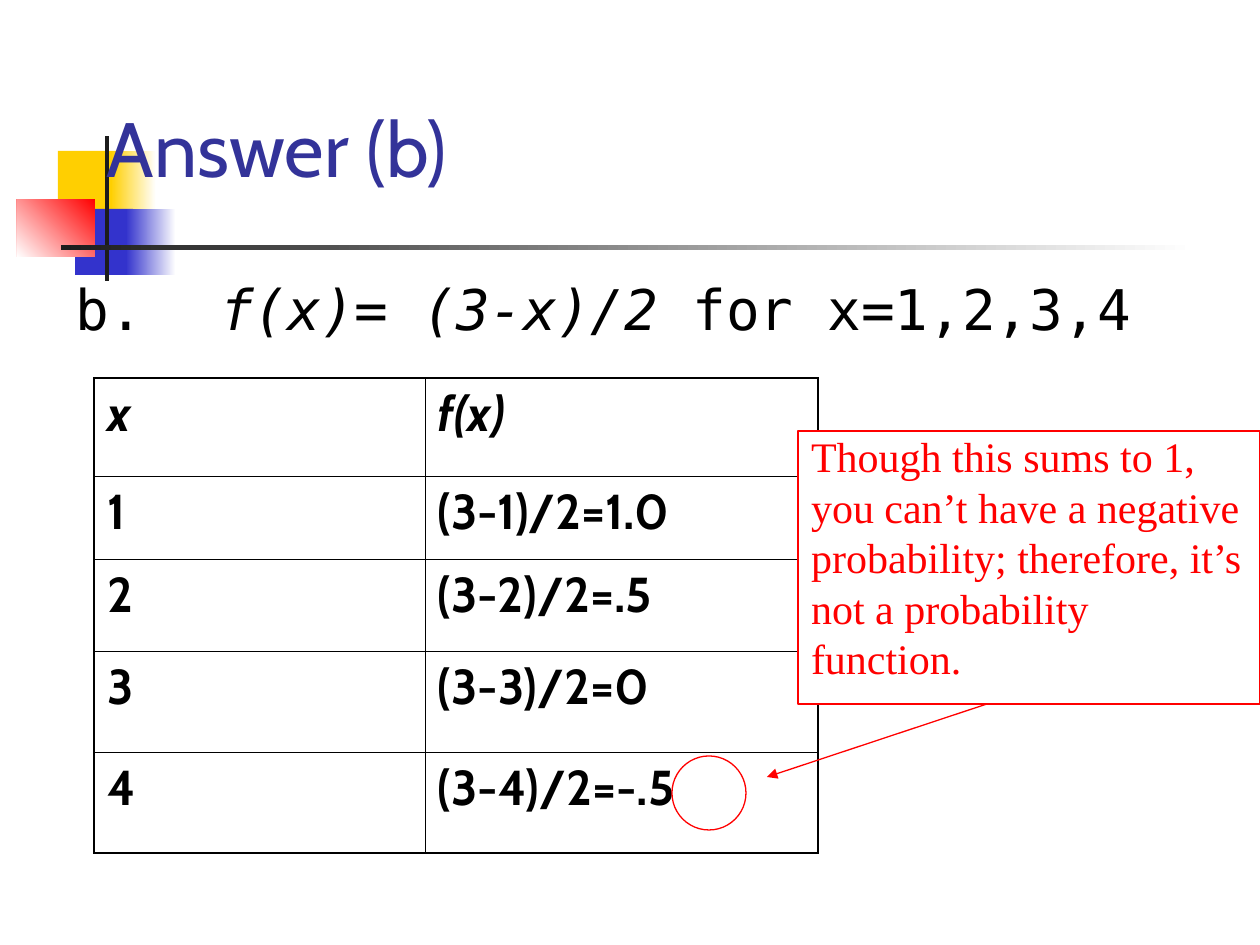
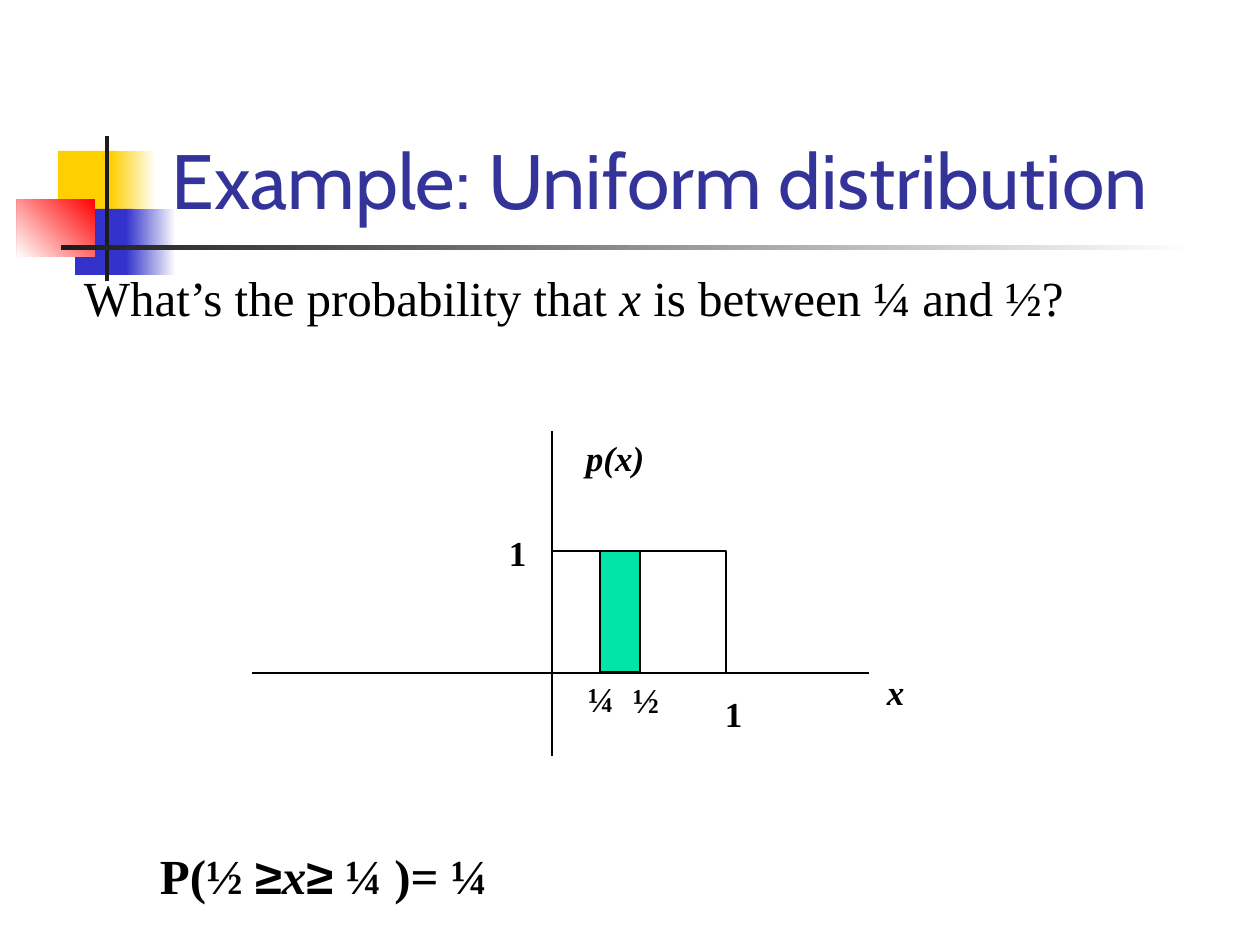
from lxml import etree
from pptx import Presentation
from pptx.dml.color import RGBColor
from pptx.enum.shapes import MSO_CONNECTOR, MSO_SHAPE
from pptx.enum.text import MSO_ANCHOR, PP_ALIGN
from pptx.oxml.ns import qn
from pptx.util import Pt

RECT, OVAL, STRAIGHT = MSO_SHAPE.RECTANGLE, MSO_SHAPE.OVAL, MSO_CONNECTOR.STRAIGHT
TOP, BOTTOM, LEFT = MSO_ANCHOR.TOP, MSO_ANCHOR.BOTTOM, PP_ALIGN.LEFT

EMU_PER_PX = 914400 / 126
SLIDE_W, SLIDE_H = 1260, 945

WHITE, BLACK, CHARCOAL = "FFFFFF", "000000", "1C1C1C"
YELLOW, BLUE, RED, GREEN = "FFCF01", "3333CC", "FF0000", "00E4A8"
TITLE_COLOR = "333399"
HEADING, SERIF, MONO, SYMBOL = "Cabin", "Times New Roman", "DejaVu Sans Mono", "Arial"

INSETS = (13, 6, 13, 6)
NO_INSETS = (0, 0, 0, 0)
HAIRLINE = 0.75
INNER_BORDER, OUTER_BORDER = 0.45, 1.08


def px(length):
    return round(length * EMU_PER_PX)


def emu(lengths):
    return [px(length) for length in lengths]


def rgb(color):
    return RGBColor.from_string(color)


def set_insets(target, insets):
    target.margin_left, target.margin_top, target.margin_right, target.margin_bottom = emu(insets)


def write(paragraph, runs, size, font, color=BLACK, bold=False):
    """Add runs given as (text, italic) or (text, italic, font)."""
    paragraph.alignment = LEFT
    for text, italic, *other_font in runs:
        run = paragraph.add_run()
        run.text = text
        run.font.size = Pt(size)
        run.font.name = other_font[0] if other_font else font
        run.font.bold, run.font.italic = bold, italic
        run.font.color.rgb = rgb(color)


def add_text(slide, box, runs, size, font, color=BLACK, bold=False, insets=INSETS, anchor=TOP):
    frame = slide.shapes.add_textbox(*emu(box)).text_frame
    frame.word_wrap = True
    frame.vertical_anchor = anchor
    set_insets(frame, insets)
    write(frame.paragraphs[0], runs, size, font, color, bold)
    return frame


def add_outline(slide, box, preset=RECT, fill=None, line=None):
    shape = slide.shapes.add_shape(preset, *emu(box))
    shape.shadow.inherit = False
    if fill:
        shape.fill.solid()
        shape.fill.fore_color.rgb = rgb(fill)
    else:
        shape.fill.background()
    if line:
        shape.line.color.rgb = rgb(line)
        shape.line.width = Pt(HAIRLINE)
    else:
        shape.line.fill.background()
    return shape


def add_fade(slide, box, start, end, clockwise_angle=180):
    fill = add_outline(slide, box).fill
    fill.gradient()
    fill.gradient_angle = 360 - clockwise_angle
    for stop, color in zip(fill.gradient_stops, (start, end)):
        stop.color.rgb = rgb(color)


def add_line(slide, start, end, color, arrow=False):
    line = slide.shapes.add_connector(STRAIGHT, *emu(start + end))
    line.line.color.rgb = rgb(color)
    line.line.width = Pt(HAIRLINE)
    properties = line.line._get_or_add_ln()
    if arrow:
        etree.SubElement(properties, qn("a:tailEnd"), type="triangle")
    etree.SubElement(properties.getparent(), qn("a:effectLst"))


def add_decoration(slide):
    """Draw the coloured squares and the crossing rules behind the title."""
    add_outline(slide, (58, 151, 60, 66), fill=YELLOW)
    add_fade(slide, (111, 151, 45, 66), WHITE, YELLOW)
    add_outline(slide, (75, 209, 58, 66), fill=BLUE)
    add_fade(slide, (126, 209, 50, 66), WHITE, BLUE)
    add_fade(slide, (17, 199, 78, 58), RED, WHITE, 135)
    add_outline(slide, (105, 136, 4, 145), fill=CHARCOAL)
    add_fade(slide, (61, 245, 1134, 5), WHITE, CHARCOAL)


def add_titled_slide(prs, title, title_box):
    slide = prs.slides.add_slide(prs.slide_layouts[6])
    add_decoration(slide)
    add_text(slide, title_box, [(title, False)], 44, HEADING, TITLE_COLOR, anchor=BOTTOM)
    return slide


def set_border(cell, side, width):
    border = etree.SubElement(cell._tc.get_or_add_tcPr(), qn("a:" + side), w=str(Pt(width)))
    solid = etree.SubElement(border, qn("a:solidFill"))
    etree.SubElement(solid, qn("a:srgbClr"), val=BLACK)


def add_function_table(slide, box, rows, column_widths, row_heights):
    table = slide.shapes.add_table(len(rows), len(column_widths), *emu(box)).table
    table.first_row = table.horz_banding = False
    for column, width in zip(table.columns, column_widths):
        column.width = px(width)
    last_row, last_column = len(rows) - 1, len(column_widths) - 1
    for r, (values, height) in enumerate(zip(rows, row_heights)):
        table.rows[r].height = px(height)
        for c, value in enumerate(values):
            cell = table.cell(r, c)
            set_insets(cell, INSETS)
            write(cell.text_frame.paragraphs[0], [(value, r == 0)], 28, HEADING, bold=True)
            edges = {"lnL": c == 0, "lnR": c == last_column, "lnT": r == 0, "lnB": r == last_row}
            for side, is_outer in edges.items():
                set_border(cell, side, OUTER_BORDER if is_outer else INNER_BORDER)
            cell.fill.background()


def add_warning(slide, box):
    """Place the note in the box, with the ring and the arrow below it."""
    left, top, width, height = box
    add_line(slide, (left + 189, top + height), (left - 31, top + 346), RED, arrow=True)
    add_outline(slide, (left - 126, top + 325, 74, 74), OVAL, line=RED)
    frame = add_outline(slide, box, fill=WHITE, line=RED).text_frame
    frame.word_wrap = True
    frame.vertical_anchor = TOP
    set_insets(frame, (13, 0, 13, 6))
    note = ("Though this sums to 1, you can’t have a negative probability; "
            "therefore, it’s not a probability function.")
    write(frame.paragraphs[0], [(note, False)], 24, SERIF, RED)


def add_formula(slide, box):
    runs = [("b.\t", False), ("f(x)= (3-x)/2", True), (" for x=1,2,3,4", False)]
    frame = add_text(slide, box, [], 32, MONO)
    paragraph = frame.paragraphs[0]
    tabs = etree.SubElement(paragraph._p.get_or_add_pPr(), qn("a:tabLst"))
    etree.SubElement(tabs, qn("a:tab"), pos=str(px(144)), algn="l")
    write(paragraph, runs, 32, MONO)


def add_density_plot(slide, box):
    left, top, width, height = box
    origin_x, origin_y = left + 300, top + 242
    density_top = top + 120
    add_line(slide, (origin_x, top), (origin_x, top + height), BLACK)
    add_line(slide, (left, origin_y), (left + width, origin_y), BLACK)
    add_outline(slide, (origin_x, density_top, 174, origin_y - density_top), line=BLACK)
    add_outline(slide, (origin_x + 48, density_top, 40, origin_y - density_top - 1),
                fill=GREEN, line=BLACK)
    labels = [
        ("x", True, 622, 234, 60, INSETS),
        ("p(x)", True, 321, 0, 102, INSETS),
        ("1", False, 257, 101, 24, NO_INSETS),
        ("1", False, 473, 262, 24, NO_INSETS),
        ("¼", False, 336, 247, 38, NO_INSETS),
        ("½", False, 381, 248, 38, NO_INSETS),
    ]
    for text, italic, x, y, label_width, insets in labels:
        add_text(slide, (left + x, top + y, label_width, 48), [(text, italic)], 20, SERIF,
                 bold=True, insets=insets)


def build_answer(prs):
    slide = add_titled_slide(prs, "Answer (b)", (94, 42, 1071, 157))
    add_formula(slide, (63, 268, 1166, 80))
    rows = [
        ("x", "f(x)"),
        ("1", "(3-1)/2=1.0"),
        ("2", "(3-2)/2=.5"),
        ("3", "(3-3)/2=0"),
        ("4", "(3-4)/2=-.5"),
    ]
    add_function_table(slide, (94, 378, 724, 475), rows, (331, 393), (98, 83, 92, 101, 101))
    add_warning(slide, (798, 431, 462, 273))


def build_uniform(prs):
    slide = add_titled_slide(prs, "Example: Uniform distribution", (159, 29, 1074, 202))
    question = [("What’s the probability that ", False), ("x", True),
                (" is between ¼ and ½?", False)]
    add_text(slide, (71, 262, 1189, 66), question, 28, SERIF)
    add_density_plot(slide, (252, 431, 617, 325))
    answer = [("P(½ ", False), ("≥", False, SYMBOL), ("x", True), ("≥", False, SYMBOL),
              (" ¼ )= ¼", False)]
    add_text(slide, (147, 840, 1100, 66), answer, 28, SERIF, bold=True)


def main():
    prs = Presentation()
    prs.slide_width, prs.slide_height = emu((SLIDE_W, SLIDE_H))
    build_answer(prs)
    build_uniform(prs)
    prs.save("out.pptx")


if __name__ == "__main__":
    main()
